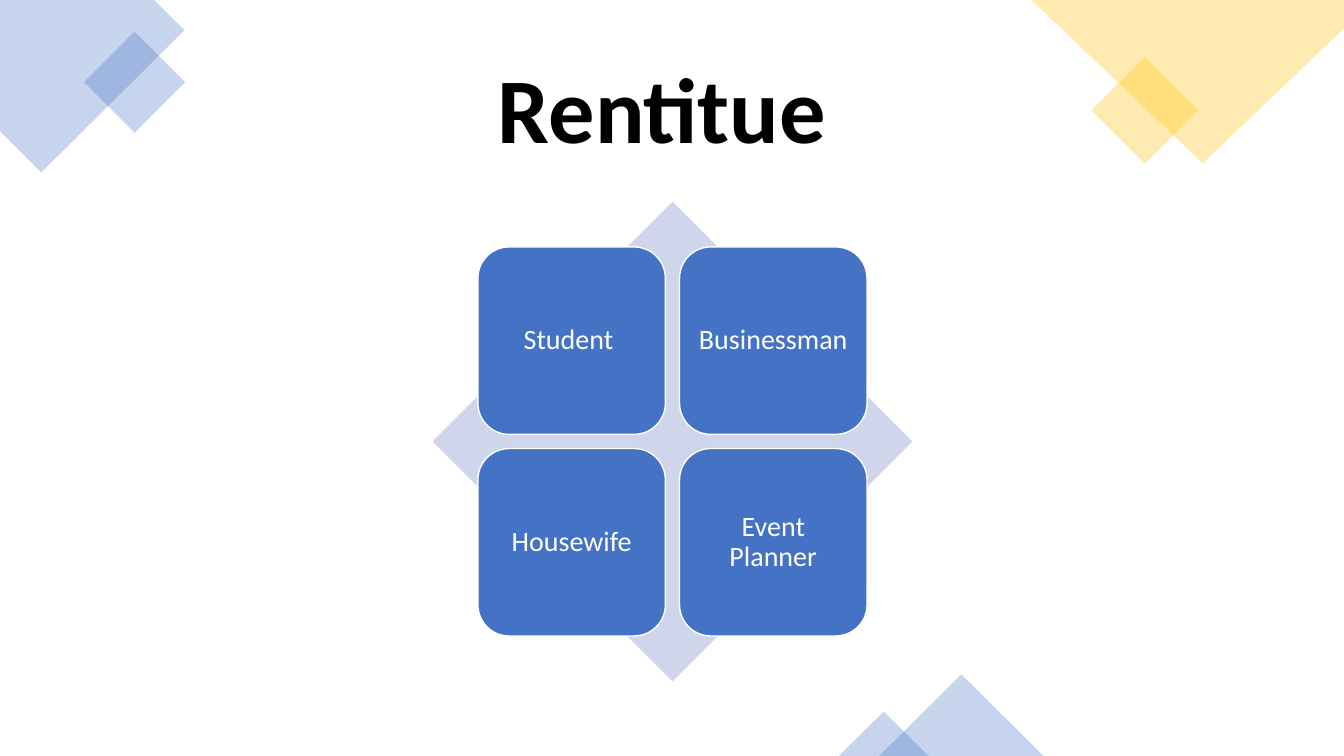
from lxml import etree
from pptx import Presentation
from pptx.dml.color import RGBColor
from pptx.enum import shapes, text
from pptx.oxml import ns
from pptx.util import Inches, Pt

COLOURS = {"blue": "4472C4", "gold": "FFC000", "pale": "CFD5EA",
           "white": "FFFFFF", "black": "000000"}
KIND = shapes.MSO_SHAPE


def paint(shape, colour, opacity=100):
    """Give a flat fill without line or shadow; opacity is in percent."""
    shape.shadow.inherit = False
    shape.line.fill.background()
    shape.fill.solid()
    shape.fill.fore_color.rgb = RGBColor.from_string(COLOURS[colour])
    if opacity < 100:
        rgb = shape.fill._xPr.find(".//" + ns.qn("a:srgbClr"))
        etree.SubElement(rgb, ns.qn("a:alpha"), val=str(opacity * 1000))


def write(shape, wording, size, colour, bold=False):
    """Set one centred paragraph in the middle of the shape."""
    frame = shape.text_frame
    frame.word_wrap = True
    frame.vertical_anchor = text.MSO_ANCHOR.MIDDLE
    para = frame.paragraphs[0]
    para.alignment = text.PP_ALIGN.CENTER
    para.line_spacing = 0.9
    span = para.add_run()
    span.text = wording
    span.font.name = "Calibri"
    span.font.size = Pt(size)
    span.font.bold = bold
    span.font.color.rgb = RGBColor.from_string(COLOURS[colour])


deck = Presentation()
deck.slide_width, deck.slide_height = Inches(13.33), Inches(7.5)
page = deck.slides.add_slide(deck.slide_layouts[6])

# Corner decorations cut off by the slide edges
corners = [
    ("blue", [(0, 0), (1.53, 0), (1.83, 0.3), (0.41, 1.71), (0, 1.3)]),
    ("gold", [(10.23, 0), (13.33, 0), (13.33, 0.28), (11.93, 1.62)]),
]
for colour, points in corners:
    points = [(Inches(x), Inches(y)) for x, y in points]
    outline = page.shapes.build_freeform(*points[0])
    outline.add_line_segments(points[1:], close=True)
    paint(outline.convert_to_shape(), colour, 30)

accents = [
    (KIND.RECTANGLE, "blue", 315, (0.98, 0.46, 0.71, 0.71)),
    (KIND.RECTANGLE, "gold", 315, (10.98, 0.72, 0.75, 0.75)),
    (KIND.ISOSCELES_TRIANGLE, "blue", 0, (8.72, 6.69, 1.63, 0.81)),
    (KIND.ISOSCELES_TRIANGLE, "blue", 0, (8.32, 7.06, 0.89, 0.44)),
]
for kind, colour, turn, place in accents:
    accent = page.shapes.add_shape(kind, *map(Inches, place))
    accent.rotation = turn
    paint(accent, colour, 30)

title = page.shapes.add_textbox(*map(Inches, (0.92, 0.4, 11.5, 1.45)))
write(title, "Rentitue ", 66, "black", bold=True)

# Customer matrix: four tiles on a diamond
diamond = page.shapes.add_shape(KIND.DIAMOND, *map(Inches, (4.29, 2, 4.76, 4.76)))
paint(diamond, "pale")

customers = ["Student ", "Businessman ", "Housewife", "Event Planner"]
LEFT, TOP, SIDE, STEP = 4.74, 2.45, 1.86, 2
for index, customer in enumerate(customers):
    row, column = divmod(index, 2)
    tile = page.shapes.add_shape(
        KIND.ROUNDED_RECTANGLE, Inches(LEFT + column * STEP),
        Inches(TOP + row * STEP), Inches(SIDE), Inches(SIDE))
    paint(tile, "blue")
    tile.line.color.rgb = RGBColor.from_string(COLOURS["white"])
    tile.line.width = Pt(1)
    frame = tile.text_frame
    frame.margin_left = frame.margin_right = Inches(0.08)
    frame.margin_top = frame.margin_bottom = Inches(0.08)
    write(tile, customer, 20, "white")

deck.save("out.pptx")
